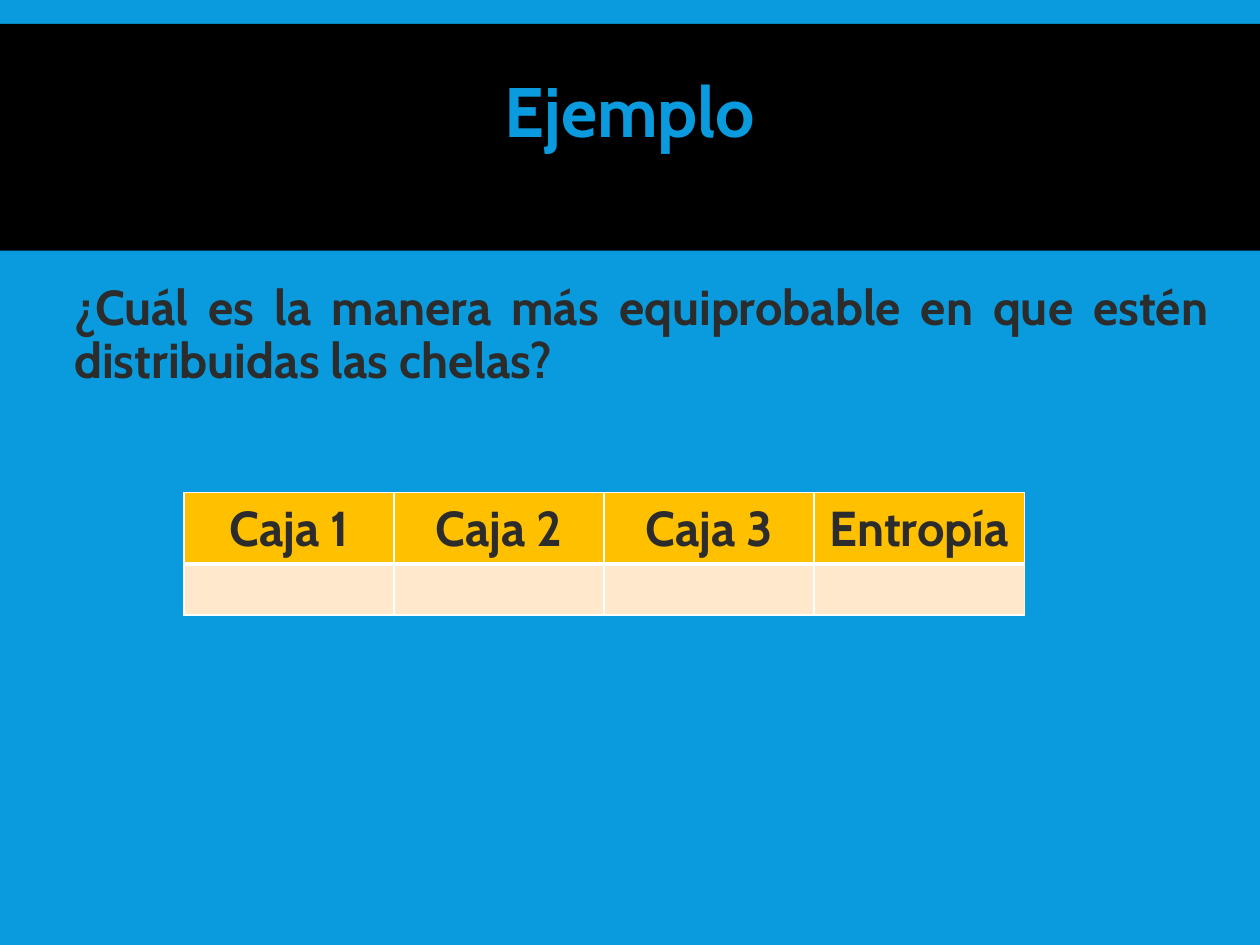
"""Builds the example slide with a question and an empty entropy table."""
from lxml import etree
from pptx import Presentation
from pptx.dml.color import RGBColor
from pptx.enum.shapes import MSO_SHAPE
from pptx.enum.text import MSO_ANCHOR, PP_ALIGN
from pptx.oxml.ns import qn
from pptx.util import Inches, Pt

RECT = MSO_SHAPE.RECTANGLE
TOP, MIDDLE = MSO_ANCHOR.TOP, MSO_ANCHOR.MIDDLE
CENTER, JUSTIFY = PP_ALIGN.CENTER, PP_ALIGN.JUSTIFY
BLUE = RGBColor(0x09, 0x9B, 0xDD)
BLACK = RGBColor(0, 0, 0)
DARK = RGBColor(0x2C, 0x2C, 0x2C)
GOLD = RGBColor(0xFF, 0xC0, 0x00)
CREAM = RGBColor(0xFF, 0xE8, 0xCC)
WHITE = RGBColor(0xFF, 0xFF, 0xFF)
UNIT = Inches(0.1)
THIN, THICK = Pt(0.96), Pt(3)


class Deck:
    """Holds the style, the slide and a grid of 100 columns by 75 rows."""

    def __init__(self, font):
        self.font = font
        self.file = Presentation()
        self.file.slide_width, self.file.slide_height = 100 * UNIT, 75 * UNIT
        self.slide = self.file.slides.add_slide(self.file.slide_layouts[5])
        self.shapes = self.slide.shapes
        fill = self.slide.background.fill
        fill.solid()
        fill.fore_color.rgb = BLUE

    def grid(self, box):
        return [round(unit * UNIT) for unit in box]

    def style(self, para, size, color, align):
        para.alignment = align
        font = para.font
        font.name, font.size, font.bold = self.font, Pt(size), True
        font.color.rgb = color

    def label(self, shape, text, size, color, align, anchor, lead):
        frame = shape.text_frame
        frame.word_wrap, frame.vertical_anchor = True, anchor
        frame.margin_left = frame.margin_right = 0
        frame.margin_top = frame.margin_bottom = 0
        para = frame.paragraphs[0]
        para.text, para.line_spacing = text, lead
        self.style(para, size, color, align)
        return para

    def title(self, box, text):
        shape = self.shapes.title
        shape.left, shape.top, shape.width, shape.height = self.grid(box)
        self.label(shape, text, 40, BLUE, CENTER, MIDDLE, 0.85)

    def band(self, box, color):
        shape = self.shapes.add_shape(RECT, *self.grid(box))
        shape.shadow.inherit = False
        shape.fill.solid()
        shape.fill.fore_color.rgb = color
        shape.line.fill.background()
        self.shapes.title.element.addprevious(shape.element)

    def text(self, box, text):
        shape = self.shapes.add_textbox(*self.grid(box))
        para = self.label(shape, text, 28, DARK, JUSTIFY, TOP, 0.9)
        para.space_before, para.space_after = Pt(12), Pt(2)

    def edge(self, cell, sides):
        props = cell._tc.get_or_add_tcPr()
        for spot, (side, width) in enumerate(sides.items()):
            line = etree.Element(qn("a:" + side), w=str(int(width)))
            fill = etree.SubElement(line, qn("a:solidFill"))
            etree.SubElement(fill, qn("a:srgbClr"), val=str(WHITE))
            props.insert(spot, line)

    def table(self, box, heads):
        table = self.shapes.add_table(2, len(heads), *self.grid(box)).table
        rows = ((heads, GOLD, THIN, THICK), ([""] * len(heads), CREAM, THICK, THIN))
        for row, (words, color, top, low) in enumerate(rows):
            for col, word in enumerate(words):
                cell = table.cell(row, col)
                cell.fill.solid()
                cell.fill.fore_color.rgb = color
                self.edge(cell, {"lnL": THIN, "lnR": THIN, "lnT": top, "lnB": low})
                if word:
                    cell.text = word
                    self.style(cell.text_frame.paragraphs[0], 28, DARK, CENTER)


def main():
    deck = Deck("Cabin")
    deck.band((0, 1.9, 100, 18), BLACK)
    deck.title((5, 3, 90, 12.5), "Ejemplo")
    deck.text(
        (5.9, 22.5, 90, 26.4),
        "¿Cuál es la manera más equiprobable en que estén distribuidas las chelas?",
    )
    deck.table((14.6, 39.1, 66.7, 8.1), ("Caja 1", "Caja 2", "Caja 3", "Entropía"))
    deck.file.save("out.pptx")


if __name__ == "__main__":
    main()
